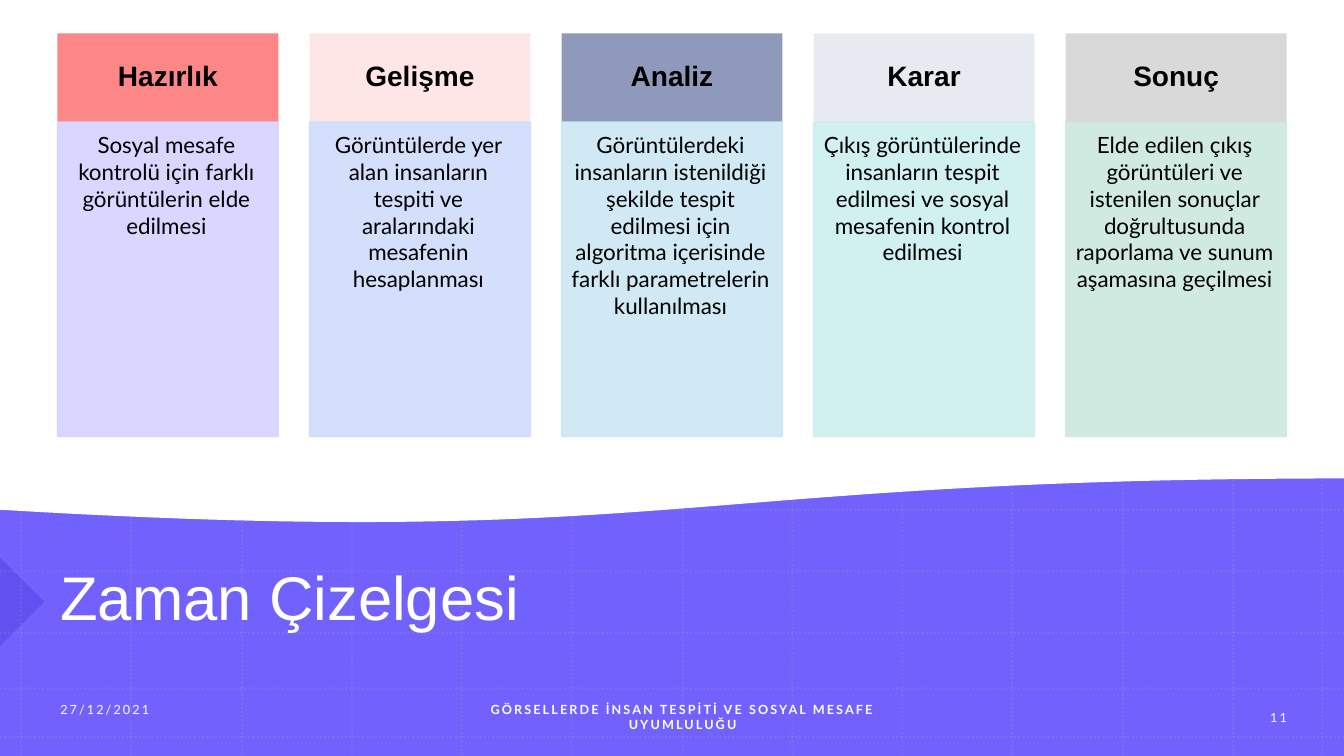
import dataclasses
import typing

import pptx
import pptx.dml.color
import pptx.enum.dml
import pptx.enum.shapes
import pptx.enum.text
import pptx.oxml.ns
import pptx.oxml.xmlchemy
import pptx.util
import lxml.etree

RGBColor = pptx.dml.color.RGBColor
ALIGN = pptx.enum.text.PP_ALIGN
ANCHOR = pptx.enum.text.MSO_ANCHOR
SHAPE = pptx.enum.shapes.MSO_SHAPE
qualified = pptx.oxml.ns.qn

EMU_PER_PX = 9144  # 100 px to the inch
SLIDE_WIDTH, SLIDE_HEIGHT = 1333, 750

WHITE = RGBColor(0xFF, 0xFF, 0xFF)
BLACK = RGBColor(0x00, 0x00, 0x00)
VIOLET = RGBColor(0x71, 0x62, 0xFE)
DEEP_BLUE = RGBColor(0x12, 0x01, 0xAF)
GRID = RGBColor(0xB4, 0x95, 0xC2)
CORAL = RGBColor(0xFD, 0x86, 0x86)
SLATE = RGBColor(0x8F, 0x99, 0xBB)
GREY = RGBColor(0xD9, 0xD9, 0xD9)
LILAC = RGBColor(0xD5, 0xD3, 0xFF)
PERIWINKLE = RGBColor(0xCF, 0xDC, 0xFB)
SKY = RGBColor(0xCD, 0xE7, 0xF5)
AQUA = RGBColor(0xCC, 0xEF, 0xEF)
MINT = RGBColor(0xCC, 0xE8, 0xDE)


class Box(typing.NamedTuple):
    left: int
    top: int
    width: int
    height: int


@dataclasses.dataclass(frozen=True)
class Style:
    font: dict
    color: RGBColor = WHITE
    align: ALIGN = ALIGN.CENTER
    anchor: ANCHOR = ANCHOR.MIDDLE
    line_spacing: float = 1.0
    tracking: int = 0
    insets: tuple[int, int, int, int] = (10, 5, 10, 5)


@dataclasses.dataclass(frozen=True)
class Stage:
    name: str
    detail: str
    head_color: RGBColor
    head_opacity: int
    body_color: RGBColor


@dataclasses.dataclass(frozen=True)
class Label:
    text: str
    box: Box
    style: Style


SMALL = {"name": "Lato", "size": pptx.util.Pt(9)}
TITLE = Style({"name": "Arial", "size": pptx.util.Pt(44)}, align=ALIGN.LEFT, line_spacing=0.9)
DATE = Style(SMALL, align=ALIGN.LEFT, tracking=150)
FOOTER = Style({**SMALL, "bold": True}, tracking=150)
NUMBER = Style(SMALL, tracking=150)
HEAD = Style({"name": "Arial", "size": pptx.util.Pt(20), "bold": True}, BLACK,
             line_spacing=0.9, insets=(16, 9, 16, 9))
BODY = Style({"name": "Lato", "size": pptx.util.Pt(16)}, BLACK,
             anchor=ANCHOR.TOP, insets=(9, 9, 12, 14))

STAGES = [
    Stage("Hazırlık", "Sosyal mesafe kontrolü için farklı görüntülerin elde edilmesi",
          CORAL, 100, LILAC),
    Stage("Gelişme", "Görüntülerde yer alan insanların tespiti ve aralarındaki mesafenin hesaplanması",
          CORAL, 20, PERIWINKLE),
    Stage("Analiz", "Görüntülerdeki insanların istenildiği şekilde tespit edilmesi için "
          "algoritma içerisinde farklı parametrelerin kullanılması", SLATE, 100, SKY),
    Stage("Karar", "Çıkış görüntülerinde insanların tespit edilmesi ve sosyal mesafenin "
          "kontrol edilmesi", SLATE, 20, AQUA),
    Stage("Sonuç", "Elde edilen çıkış görüntüleri ve istenilen sonuçlar doğrultusunda "
          "raporlama ve sunum aşamasına geçilmesi", GREY, 100, MINT),
]
LABELS = [
    Label("Zaman Çizelgesi", Box(50, 509, 1175, 174), TITLE),
    Label("27/12/2021", Box(50, 684, 280, 40), DATE),
    Label("GÖRSELLERDE İNSAN TESPİTİ VE SOSYAL MESAFE UYUMLULUĞU",
          Box(459, 691, 436, 40), FOOTER),
    Label("11", Box(1224, 692, 88, 40), NUMBER),
]

STAGE_LEFT, STAGE_PITCH, STAGE_WIDTH = 57, 250, 219
HEAD_TOP, HEAD_HEIGHT, BODY_HEIGHT = 33, 88, 312
COLUMN_LINES = [round(21 + 109.27 * index) for index in range(12)] + [1311]
ROW_LINES = [506, 567, 628, 683, 731]
WAVE = [(1335, 474), (669, 474), (666, 545), (0, 505)]  # Bezier control points
WAVE_STEPS = 60


def emu(*lengths: float) -> list[int]:
    return [round(length * EMU_PER_PX) for length in lengths]


def set_opacity(properties, percent: int) -> None:
    """Apply an opacity to every colour inside a shape's properties."""
    if percent < 100:
        for color in properties.iter(qualified("a:srgbClr")):
            lxml.etree.SubElement(color, qualified("a:alpha")).set("val", str(percent * 1000))


def paint(shape, fill: RGBColor, opacity: int = 100, outline: bool = False) -> None:
    shape.shadow.inherit = False
    shape.fill.solid()
    shape.fill.fore_color.rgb = fill
    if outline:
        shape.line.color.rgb = fill
        shape.line.width = pptx.util.Pt(1)
    else:
        shape.line.fill.background()
    set_opacity(shape._element.spPr, opacity)


def add_block(slide, box: Box, fill: RGBColor, opacity: int = 100,
              outline: bool = False, kind: SHAPE = SHAPE.RECTANGLE):
    shape = slide.shapes.add_shape(kind, *emu(*box))
    paint(shape, fill, opacity, outline)
    return shape


def write(shape, text: str, style: Style) -> None:
    frame = shape.text_frame
    left, top, right, bottom = emu(*style.insets)
    layout = {"word_wrap": True, "vertical_anchor": style.anchor, "margin_left": left,
              "margin_top": top, "margin_right": right, "margin_bottom": bottom}
    for attribute, value in layout.items():
        setattr(frame, attribute, value)
    paragraph = frame.paragraphs[0]
    paragraph.alignment = style.align
    paragraph.line_spacing = style.line_spacing
    run = paragraph.add_run()
    run.text = text
    for attribute, value in style.font.items():
        setattr(run.font, attribute, value)
    run.font.color.rgb = style.color
    if style.tracking:
        run._r.get_or_add_rPr().set("spc", str(style.tracking))


def add_grid_line(slide, start: tuple[int, int], end: tuple[int, int]) -> None:
    line = slide.shapes.add_connector(
        pptx.enum.shapes.MSO_CONNECTOR.STRAIGHT, *emu(*start, *end))
    line.line.color.rgb = GRID
    line.line.width = pptx.util.Pt(1.5)
    line.line.dash_style = pptx.enum.dml.MSO_LINE.ROUND_DOT
    properties = line._element.spPr
    set_opacity(properties, 20)
    lxml.etree.SubElement(properties, qualified("a:effectLst"))


def wave_point(t: float) -> tuple[int, int]:
    weights = ((1 - t) ** 3, 3 * t * (1 - t) ** 2, 3 * t ** 2 * (1 - t), t ** 3)
    x, y = (sum(w * point[axis] for w, point in zip(weights, WAVE)) for axis in (0, 1))
    return tuple(emu(x, y))


def add_wave(slide) -> None:
    builder = slide.shapes.build_freeform(*emu(0, -3), scale=1.0)
    curve = [wave_point(step / WAVE_STEPS) for step in range(WAVE_STEPS + 1)]
    builder.add_line_segments([tuple(emu(1335, -3)), *curve], close=True)
    paint(builder.convert_to_shape(), WHITE, outline=True)


def add_stage(slide, index: int, stage: Stage) -> None:
    left = STAGE_LEFT + index * STAGE_PITCH
    head = add_block(slide, Box(left, HEAD_TOP, STAGE_WIDTH, HEAD_HEIGHT),
                     stage.head_color, stage.head_opacity)
    write(head, stage.name, HEAD)
    body = add_block(slide, Box(left, HEAD_TOP + HEAD_HEIGHT, STAGE_WIDTH, BODY_HEIGHT),
                     stage.body_color, 90, outline=True)
    write(body, stage.detail, BODY)


def main() -> None:
    presentation = pptx.Presentation()
    presentation.slide_width, presentation.slide_height = emu(SLIDE_WIDTH, SLIDE_HEIGHT)
    slide = presentation.slides.add_slide(presentation.slide_layouts[6])

    # Violet backdrop with side arrow, dotted grid and white wave
    add_block(slide, Box(0, 0, 1335, SLIDE_HEIGHT), VIOLET)
    arrow = add_block(slide, Box(-31, 566, 62, 62), DEEP_BLUE, 17, kind=SHAPE.RIGHT_TRIANGLE)
    arrow.rotation = 225
    for x in COLUMN_LINES:
        add_grid_line(slide, (x, 0), (x, SLIDE_HEIGHT))
    for y in ROW_LINES:
        add_grid_line(slide, (0, y), (SLIDE_WIDTH, y))
    add_wave(slide)

    # Title and footer
    for label in LABELS:
        write(slide.shapes.add_textbox(*emu(*label.box)), label.text, label.style)

    # Timeline stages
    for index, stage in enumerate(STAGES):
        add_stage(slide, index, stage)

    presentation.save("out.pptx")


if __name__ == "__main__":
    main()
